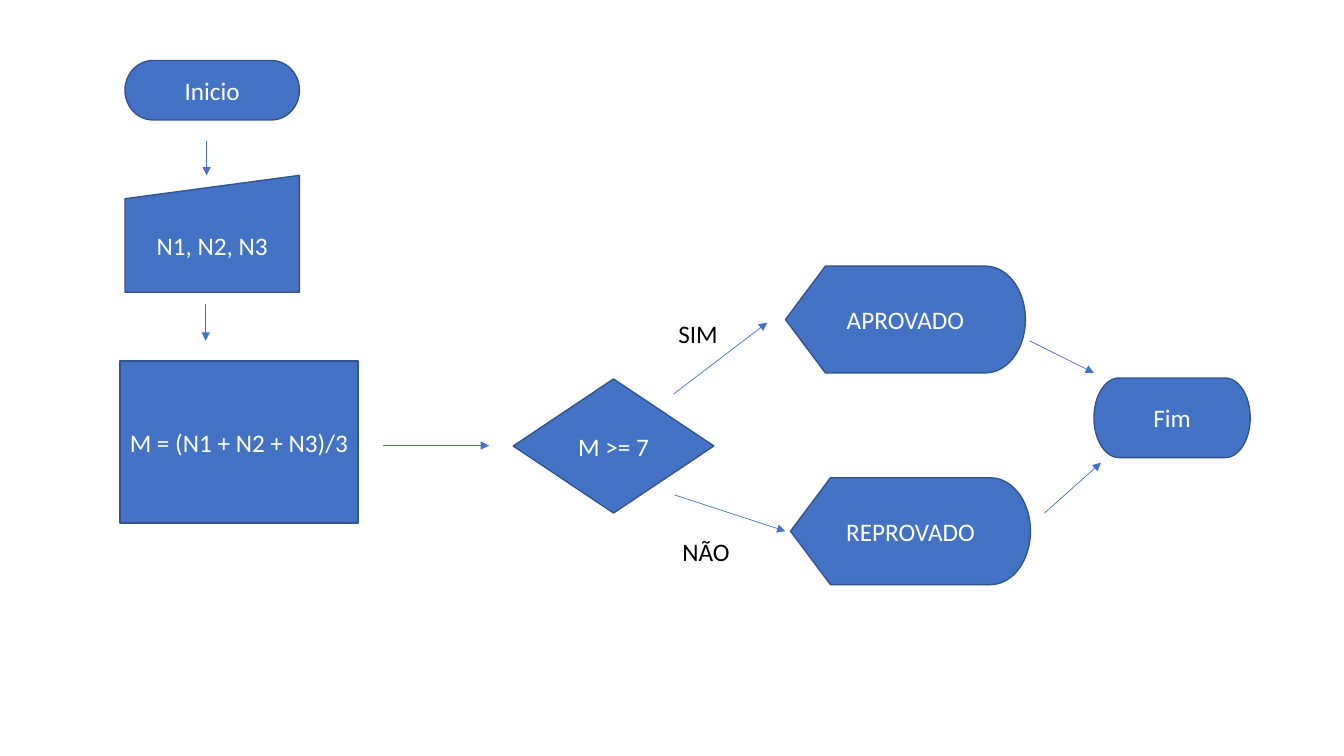
from typing import NamedTuple

from lxml.etree import SubElement
from pptx import Presentation
from pptx.dml.color import RGBColor
from pptx.enum.shapes import MSO_CONNECTOR, MSO_SHAPE
from pptx.enum.text import MSO_ANCHOR, MSO_AUTO_SIZE, PP_ALIGN
from pptx.oxml.ns import qn
from pptx.util import Inches, Pt

BLUE, DARK_BLUE, WHITE, BLACK = "4472C4", "325491", "FFFFFF", "000000"


class Step(NamedTuple):
    text: str
    kind: MSO_SHAPE
    left: float
    top: float
    width: float
    height: float


class Arrow(NamedTuple):
    x1: float
    y1: float
    x2: float
    y2: float


class Label(NamedTuple):
    text: str
    left: float
    top: float
    width: float
    height: float = 0.4


STEPS = [
    Step("Inicio", MSO_SHAPE.FLOWCHART_TERMINATOR, 1.24, 0.6, 1.73, 0.59),
    Step("N1, N2, N3", MSO_SHAPE.FLOWCHART_MANUAL_INPUT, 1.24, 1.74, 1.73, 1.16),
    Step("M = (N1 + N2 + N3)/3", MSO_SHAPE.FLOWCHART_PROCESS, 1.19, 3.58, 2.36, 1.61),
    Step("M >= 7", MSO_SHAPE.FLOWCHART_DECISION, 5.09, 3.76, 1.99, 1.33),
    Step("APROVADO", MSO_SHAPE.FLOWCHART_DISPLAY, 7.79, 2.64, 2.38, 1.06),
    Step("REPROVADO", MSO_SHAPE.FLOWCHART_DISPLAY, 7.84, 4.74, 2.38, 1.06),
    Step("Fim", MSO_SHAPE.FLOWCHART_TERMINATOR, 10.85, 3.75, 1.55, 0.79),
]
ARROWS = [
    Arrow(2.05, 1.4, 2.05, 1.74),
    Arrow(2.04, 3.02, 2.04, 3.38),
    Arrow(3.8, 4.42, 4.85, 4.42),
    Arrow(6.68, 3.91, 7.61, 3.2),
    Arrow(6.69, 4.91, 7.79, 5.27),
    Arrow(10.21, 3.38, 10.85, 3.7),
    Arrow(10.36, 5.09, 10.92, 4.59),
]
LABELS = [Label("SIM", 6.63, 3.11, 0.6), Label("NÃO", 6.67, 5.27, 0.67)]


def rgb(value: str) -> RGBColor:
    return RGBColor.from_string(value)


def write(tf, text: str, *, color: str, align=PP_ALIGN.LEFT,
          anchor=MSO_ANCHOR.TOP, wrap: bool = True) -> None:
    tf.word_wrap = wrap
    tf.vertical_anchor = anchor
    p = tf.paragraphs[0]
    p.alignment = align
    r = p.add_run()
    r.text = text
    r.font.name = "Calibri"
    r.font.size = Pt(18)
    r.font.color.rgb = rgb(color)


def add_step(slide, step: Step) -> None:
    sp = slide.shapes.add_shape(step.kind, *map(Inches, step[2:]))
    sp.shadow.inherit = False
    sp.fill.solid()
    sp.fill.fore_color.rgb = rgb(BLUE)
    sp.line.color.rgb = rgb(DARK_BLUE)
    sp.line.width = Pt(1)
    tf = sp.text_frame
    tf.margin_left = tf.margin_right = Inches(0.05)
    write(tf, step.text, color=WHITE, align=PP_ALIGN.CENTER,
          anchor=MSO_ANCHOR.MIDDLE)


def add_arrow(slide, arrow: Arrow) -> None:
    cxn = slide.shapes.add_connector(MSO_CONNECTOR.STRAIGHT, *map(Inches, arrow))
    cxn.line.color.rgb = rgb(BLUE)
    cxn.line.width = Pt(0.5)
    SubElement(cxn.line._get_or_add_ln(), qn("a:tailEnd"), type="triangle")
    SubElement(cxn._element.spPr, qn("a:effectLst"))


def add_label(slide, label: Label) -> None:
    tf = slide.shapes.add_textbox(*map(Inches, label[1:])).text_frame
    tf.auto_size = MSO_AUTO_SIZE.SHAPE_TO_FIT_TEXT
    write(tf, label.text, color=BLACK, wrap=False)


def main() -> None:
    prs = Presentation()
    prs.slide_width, prs.slide_height = Inches(13.33), Inches(7.5)
    slide = prs.slides.add_slide(prs.slide_layouts[6])
    for step in STEPS:
        add_step(slide, step)
    for arrow in ARROWS:
        add_arrow(slide, arrow)
    for label in LABELS:
        add_label(slide, label)
    prs.save("out.pptx")


if __name__ == "__main__":
    main()
